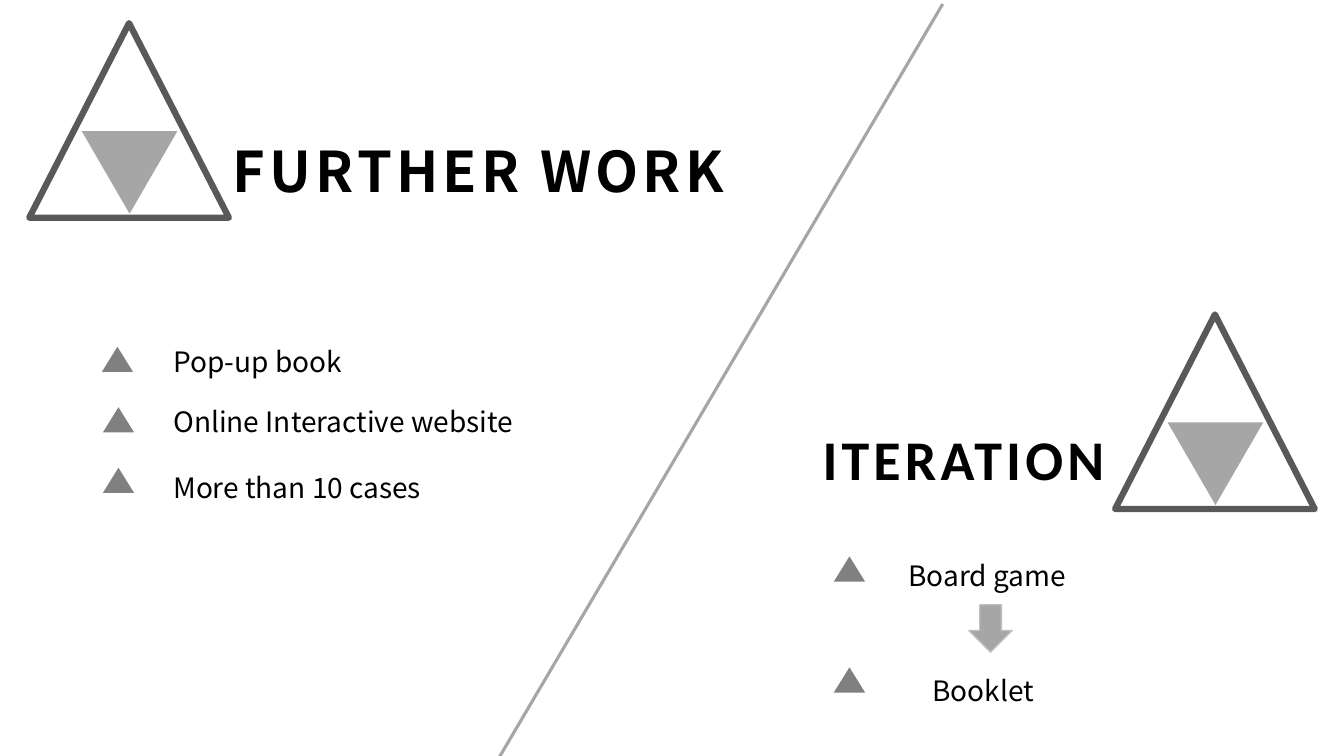
from lxml import etree
from pptx import Presentation
from pptx import util as u
from pptx.dml.color import RGBColor
from pptx.enum import shapes, text
from pptx.oxml.ns import qn

PX = 9144  # 100 px to the inch
INK = {"black": "000000", "dark": "595959", "mid": "808080",
       "grey": "A6A6A6", "pale": "BFBFBF"}
SANS, HEAD = "Noto Sans CJK SC", "Calibri"
KIND = shapes.MSO_SHAPE


def px(*vals):
    return [u.Emu(v * PX) for v in vals]


def tint(name):
    return RGBColor.from_string(INK[name])


def write(box, words, size=20, font=SANS, bold=False, track=0, lead=1.0):
    """Fill a box with one left-aligned paragraph; track is in points."""
    frame = box.text_frame
    frame.word_wrap = True
    frame.auto_size = text.MSO_AUTO_SIZE.SHAPE_TO_FIT_TEXT
    frame.vertical_anchor = text.MSO_ANCHOR.TOP
    para = frame.paragraphs[0]
    para.alignment = text.PP_ALIGN.LEFT
    para.line_spacing = lead
    run = para.add_run()
    run.text = words
    run.font.size, run.font.name, run.font.bold = u.Pt(size), font, bold
    run.font.color.rgb = tint("black")
    if track:
        run._r.get_or_add_rPr().set("spc", str(track * 100))


class Page:
    def __init__(self, deck):
        self.slide = deck.slides.add_slide(deck.slide_layouts[5])
        self.shapes = self.slide.shapes
        self.big = dict(size=40, bold=True, track=3)

    def title(self, words, x, y, w, h):
        box = self.shapes.title
        box.left, box.top, box.width, box.height = px(x, y, w, h)
        write(box, words, **self.big)

    def label(self, words, x, y, w, h=55, **form):
        write(self.shapes.add_textbox(*px(x, y, w, h)), words, **form)

    def shape(self, kind, x, y, w, h, fill=None, line=None, wide=1, turn=0):
        item = self.shapes.add_shape(kind, *px(x, y, w, h))
        item.shadow.inherit = False
        item.rotation = turn
        if fill:
            item.fill.solid()
            item.fill.fore_color.rgb = tint(fill)
        else:
            item.fill.background()
        if line:
            item.line.color.rgb = tint(line)
            item.line.width = u.Pt(wide)
        else:
            item.line.fill.background()

    def emblem(self, x, y):
        """Draw a triangle outline with an inverted triangle inside."""
        tri = KIND.ISOSCELES_TRIANGLE
        self.shape(tri, x + 52, y + 107, 95, 82, fill="grey", turn=180)
        self.shape(tri, x, y, 198, 193, line="dark", wide=4.5)

    def marker(self, x, y):
        self.shape(KIND.ISOSCELES_TRIANGLE, x, y, 31, 25, fill="mid")

    def line(self, x1, y1, x2, y2, color, wide):
        rule = self.shapes.add_connector(
            shapes.MSO_CONNECTOR.STRAIGHT, *px(x1, y1, x2, y2))
        rule.line.color.rgb = tint(color)
        rule.line.width = u.Pt(wide)
        etree.SubElement(rule._element.spPr, qn("a:effectLst"))


def main():
    deck = Presentation()
    deck.slide_width, deck.slide_height = u.Inches(13.33), u.Inches(7.5)
    page = Page(deck)

    page.emblem(29, 23)
    page.title("FURTHER WORK", 221, 130, 544, 77)
    page.emblem(1106, 312)
    page.label("ITERATION", 806, 416, 311, 77, font=HEAD, **page.big)

    items = [
        ("Pop-up book", 162, 320, 231, 101, 344),
        ("Online Interactive website", 162, 380, 415, 102, 404),
        ("More than 10 cases", 162, 445, 317, 102, 464),
        ("Board game", 891, 532, 185, 827, 552),
        ("Booklet", 915, 647, 137, 827, 662),
    ]
    for words, x, y, w, mx, my in items:
        page.marker(mx, my)
        page.label(words, x, y, w, lead=1.5)

    page.shape(KIND.DOWN_ARROW, 961, 600, 43, 47, fill="grey", line="pale")
    page.line(935, 4, 493, 755, "grey", 2.25)
    deck.save("out.pptx")


if __name__ == "__main__":
    main()
